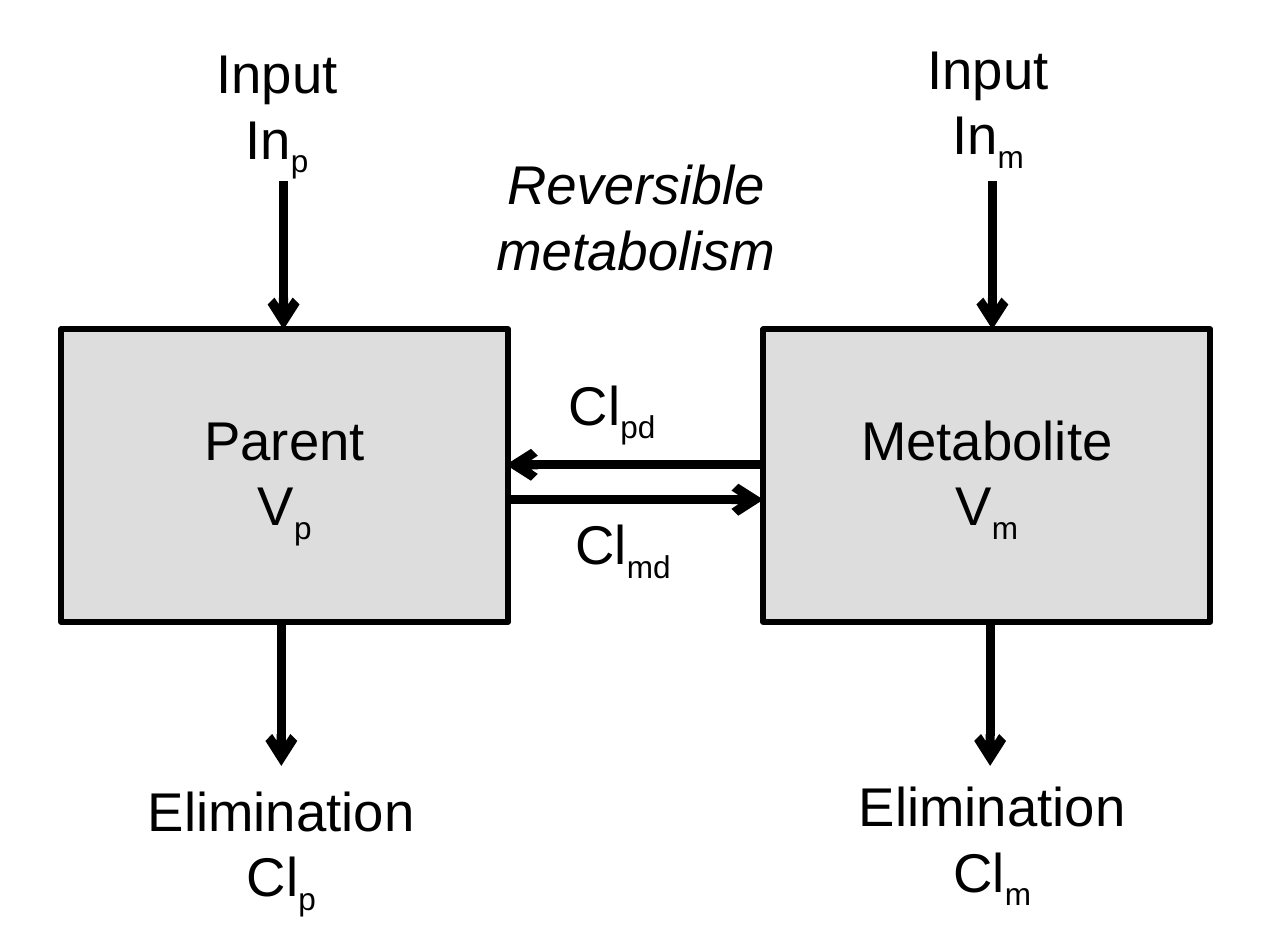
from lxml import etree
from pptx import Presentation
from pptx import util as u
from pptx.dml.color import RGBColor
from pptx.enum import shapes, text
from pptx.oxml.ns import qn

COLOURS = {"ink": "000000", "box": "DDDDDD", "background": "FFFFFF"}
INK = RGBColor.from_string(COLOURS["ink"])

presentation = Presentation()
presentation.slide_width = u.Cm(15)
presentation.slide_height = u.Cm(11)
slide = presentation.slides.add_slide(presentation.slide_layouts[6])
slide.background.fill.solid()
slide.background.fill.fore_color.rgb = RGBColor.from_string(COLOURS["background"])


def write_lines(shape, lines, alignment=text.PP_ALIGN.CENTER, italic=False):
    frame = shape.text_frame
    for index, (base, subscript) in enumerate(lines):
        paragraph = frame.add_paragraph() if index else frame.paragraphs[0]
        paragraph.alignment = alignment
        for wording, offset in ((base, None), (subscript, "-25000")):
            if wording:
                run = paragraph.add_run()
                run.text = wording
                run.font.name = "Arial"
                run.font.size = u.Pt(18)
                run.font.italic = italic
                run.font.color.rgb = INK
                if offset:
                    run.font._element.set("baseline", offset)


def add_label(left, top, width, height, lines, **style):
    label = slide.shapes.add_textbox(*map(u.Inches, (left, top, width, height)))
    label.text_frame.word_wrap = False
    label.text_frame.auto_size = text.MSO_AUTO_SIZE.SHAPE_TO_FIT_TEXT
    write_lines(label, lines, **style)


compartments = [("Parent", "p", 0.28, 1.3, 0.13, 3.51, 0.57),
                ("Metabolite", "m", 3.5, 4.55, 0.11, 3.49, 3.83)]
arrows = [(3.5, 2.13, 2.32, 2.13), (2.32, 2.29, 3.5, 2.29)]

for name, subscript, left, arrow_x, input_top, elimination_top, elimination_left in compartments:
    box = slide.shapes.add_shape(shapes.MSO_SHAPE.RECTANGLE, u.Inches(left), u.Inches(1.51),
                                 u.Inches(2.05), u.Inches(1.34))
    box.shadow.inherit = False
    box.fill.solid()
    box.fill.fore_color.rgb = RGBColor.from_string(COLOURS["box"])
    box.line.color.rgb = INK
    box.line.width = u.Pt(2)
    box.text_frame.vertical_anchor = text.MSO_ANCHOR.MIDDLE
    write_lines(box, [(name, ""), ("V", subscript)])
    add_label(elimination_left + 0.32, input_top, 0.76, 0.71, [("Input", ""), ("In", subscript)])
    add_label(elimination_left, elimination_top, 1.44, 0.71,
              [("Elimination", ""), ("Cl", subscript)])
    arrows.append((arrow_x, 0.83, arrow_x, 1.51))
    arrows.append((arrow_x - 0.01, 2.84, arrow_x - 0.01, 3.51))

for ends in arrows:
    arrow = slide.shapes.add_connector(shapes.MSO_CONNECTOR.STRAIGHT, *map(u.Inches, ends))
    arrow.line.color.rgb = INK
    arrow.line.width = u.Pt(3)
    etree.SubElement(arrow.line._get_or_add_ln(), qn("a:tailEnd"), type="arrow")
    etree.SubElement(arrow._element.spPr, qn("a:effectLst"))

add_label(2.51, 1.65, 0.63, 0.4, [("Cl", "pd")], alignment=text.PP_ALIGN.LEFT)
add_label(2.54, 2.29, 0.67, 0.4, [("Cl", "md")], alignment=text.PP_ALIGN.LEFT)
add_label(2.17, 0.64, 1.49, 0.71, [("Reversible", ""), ("metabolism", "")], italic=True)

presentation.save("out.pptx")
